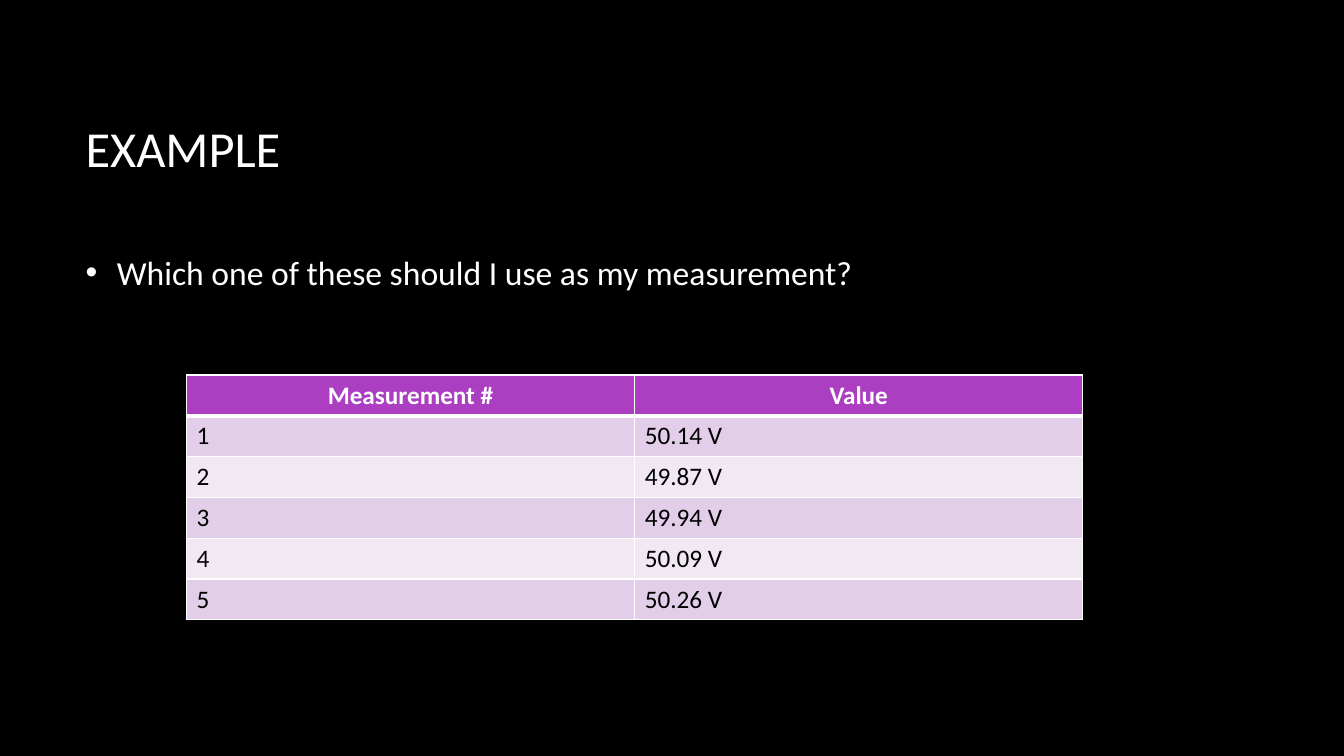
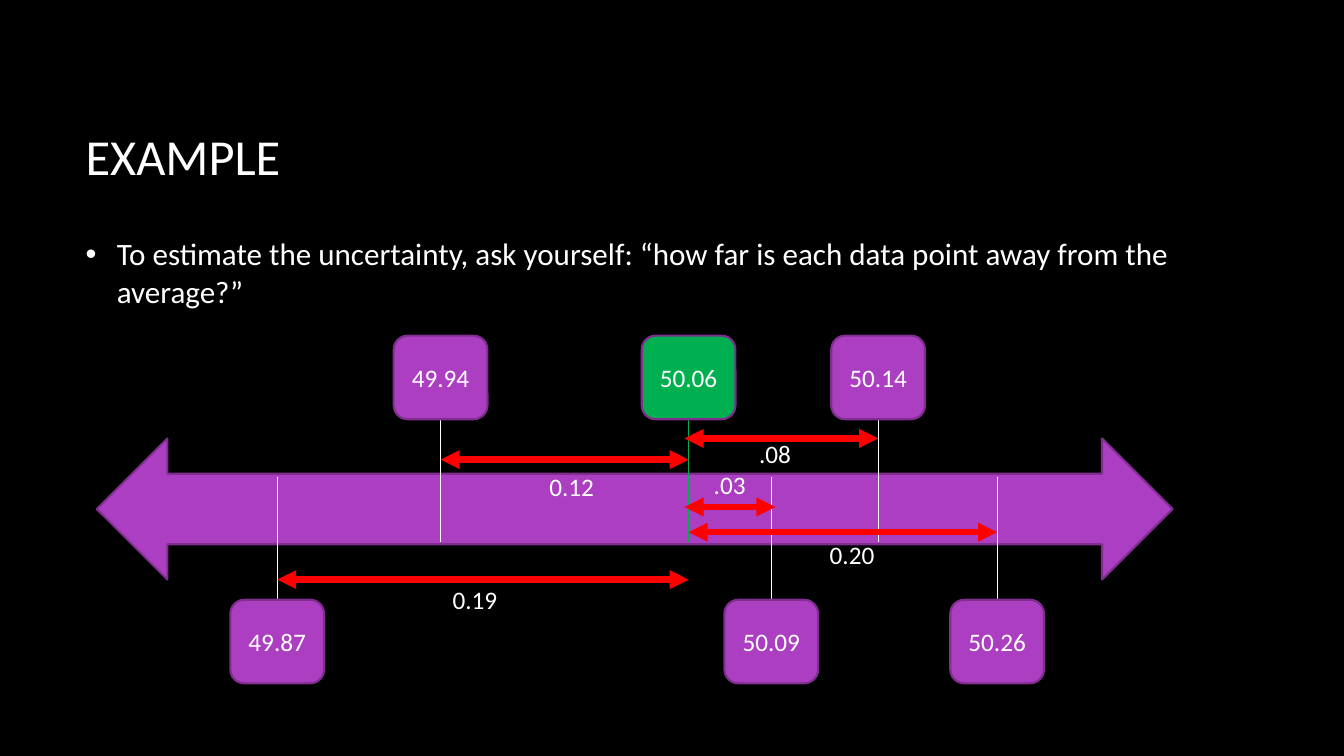
import pptx
import pptx.dml.color
import pptx.enum.shapes
import pptx.enum.text
import pptx.oxml
import pptx.oxml.ns
import pptx.util
from pptx.util import Inches

COLORS = {
    "background": "000000",
    "text": "FFFFFF",
    "cell_text": "000000",
    "purple": "AC3EC1",
    "purple_outline": "7F2E8F",
    "band_dark": "E3CEE9",
    "band_light": "F1E8F4",
    "average": "00B050",
    "span": "FF0000",
}
FONT = "Calibri"
MARGIN, CONTENT_WIDTH = 0.75, 11.08

MEASUREMENTS = ["50.14 V", "49.87 V", "49.94 V", "50.09 V", "50.26 V"]

# value, centre from the left of the number line, above the arrow, fill
MARKERS = [
    ("49.87", 1.79, False, "purple"),
    ("49.94", 3.41, True, "purple"),
    ("50.09", 6.69, False, "purple"),
    ("50.14", 7.75, True, "purple"),
    ("50.26", 8.93, False, "purple"),
    ("50.06", 5.87, True, "average"),
]
# distance, start, end, height, label left, label top, label width
SPANS = [
    ("0.19", 1.79, 5.87, 2.42, 3.43, 2.42, 0.65),
    ("0.20", 5.87, 8.93, 1.95, 7.17, 1.97, 0.65),
    ("0.12", 3.41, 5.87, 1.23, 4.39, 1.30, 0.65),
    (".08", 5.83, 7.75, 1.02, 6.47, 0.97, 0.52),
    (".03", 5.83, 6.73, 1.70, 6.02, 1.28, 0.52),
]


def color(name):
    return pptx.dml.color.RGBColor.from_string(COLORS[name])


def add_xml(parent, tag, index=None, **attributes):
    element = pptx.oxml.parse_xml(f"<a:{tag} {pptx.oxml.ns.nsdecls('a')}/>")
    for name, value in attributes.items():
        element.set(name, str(value))
    parent.insert(len(parent) if index is None else index, element)
    return element


def write(paragraph, text, size, color_name="text", bold=False, align=None):
    paragraph.text = text
    paragraph.alignment = align
    font = paragraph.font
    font.name, font.size, font.bold = FONT, pptx.util.Pt(size), bold
    font.color.rgb = color(color_name)


def add_text(slide, text, left, top, width, height, size, wrap=True):
    box = slide.shapes.add_textbox(
        Inches(left), Inches(top), Inches(width), Inches(height))
    frame = box.text_frame
    frame.word_wrap = wrap
    if wrap:
        frame.vertical_anchor = pptx.enum.text.MSO_ANCHOR.MIDDLE
    else:
        frame.auto_size = pptx.enum.text.MSO_AUTO_SIZE.SHAPE_TO_FIT_TEXT
    paragraph = frame.paragraphs[0]
    write(paragraph, text, size)
    return paragraph


def add_example_slide(presentation, title_top, question, question_size):
    """Add a slide with the shared title and a single bullet."""
    slide = presentation.slides.add_slide(presentation.slide_layouts[6])
    add_text(slide, "EXAMPLE", MARGIN, title_top, CONTENT_WIDTH, 1.59, 36)
    bullet = add_text(
        slide, question, MARGIN, 2.34, CONTENT_WIDTH, 0.72, question_size)
    bullet.space_after = pptx.util.Pt(10)
    properties = bullet._p.get_or_add_pPr()
    indent = Inches(0.31)
    properties.set("marL", str(indent))
    properties.set("indent", str(-indent))
    marker = add_xml(properties, "buChar", char="•")
    marker.addprevious(pptx.oxml.parse_xml(
        f"<a:buFont {pptx.oxml.ns.nsdecls('a')} typeface='Arial'/>"))
    return slide


def add_border(cell, widths):
    """Draw white borders; widths in points are left, right, top, bottom."""
    properties = cell._tc.get_or_add_tcPr()
    for index, (side, width) in enumerate(zip("LRTB", widths)):
        line = add_xml(
            properties, "ln" + side, index, w=pptx.util.Pt(width))
        fill = add_xml(line, "solidFill")
        add_xml(fill, "srgbClr", val=COLORS["text"])


def add_measurement_table(slide, left, top, width, height):
    rows = [("Measurement #", "Value")]
    rows += [(str(number), value)
             for number, value in enumerate(MEASUREMENTS, 1)]
    table = slide.shapes.add_table(
        len(rows), 2, Inches(left), Inches(top),
        Inches(width), Inches(height)).table
    for row_index, row in enumerate(rows):
        header = row_index == 0
        band = "band_dark" if row_index % 2 else "band_light"
        for column_index, text in enumerate(row):
            cell = table.cell(row_index, column_index)
            cell.fill.solid()
            cell.fill.fore_color.rgb = color("purple" if header else band)
            write(cell.text_frame.paragraphs[0], text, 18,
                  "text" if header else "cell_text", header,
                  pptx.enum.text.PP_ALIGN.CENTER if header else None)
            add_border(cell, (1, 1, 3 if row_index == 1 else 1,
                              3 if header else 1))


def add_shape(slide, kind, left, top, width, height, fill):
    shape = slide.shapes.add_shape(
        kind, Inches(left), Inches(top), Inches(width), Inches(height))
    shape.shadow.inherit = False
    shape.fill.solid()
    shape.fill.fore_color.rgb = color(fill)
    shape.line.color.rgb = color("purple_outline")
    shape.line.width = pptx.util.Pt(1.5)
    return shape


def add_line(slide, start, end, color_name, width, arrows=False):
    connector = slide.shapes.add_connector(
        pptx.enum.shapes.MSO_CONNECTOR.STRAIGHT,
        *(Inches(length) for length in start + end))
    connector.line.color.rgb = color(color_name)
    connector.line.width = pptx.util.Pt(width)
    if arrows:
        line = connector.line._get_or_add_ln()
        for tag in ("headEnd", "tailEnd"):
            add_xml(line, tag, type="triangle")
    add_xml(connector._element.spPr, "effectLst")


def add_marker(slide, value, center, top, height, above, fill):
    """Add a value card and the stem that ties it to the arrow."""
    card_width, card_height, stem = 0.93, 0.83, 1.22
    card_top = top if above else top + height - card_height
    stem_top = card_top + card_height if above else card_top - stem
    add_line(slide, (center, stem_top), (center, stem_top + stem),
             "average" if fill == "average" else "text", 0.75)
    card = add_shape(
        slide, pptx.enum.shapes.MSO_SHAPE.ROUNDED_RECTANGLE,
        center - card_width / 2, card_top, card_width, card_height, fill)
    card.text_frame.vertical_anchor = pptx.enum.text.MSO_ANCHOR.MIDDLE
    write(card.text_frame.paragraphs[0], value, 18,
          align=pptx.enum.text.PP_ALIGN.CENTER)


def add_number_line(slide, left, top, width, height):
    """Place the measurements on an arrow with distances to the average."""
    add_shape(slide, pptx.enum.shapes.MSO_SHAPE.LEFT_RIGHT_ARROW,
              left, top + 1.02, width, 1.4, "purple")
    for value, center, above, fill in MARKERS:
        add_marker(slide, value, left + center, top, height, above, fill)
    for text, start, end, level, label_left, label_top, label_width in SPANS:
        add_line(slide, (left + start, top + level),
                 (left + end, top + level), "span", 4.5, arrows=True)
        add_text(slide, text, left + label_left, top + label_top,
                 label_width, 0.4, 18, wrap=False)


def main():
    presentation = pptx.Presentation()
    presentation.slide_width = Inches(13.33)
    presentation.slide_height = Inches(7.5)
    background = presentation.slide_master.background.fill
    background.solid()
    background.fore_color.rgb = color("background")

    slide = add_example_slide(
        presentation, 0.67,
        "Which one of these should I use as my measurement?", 24)
    add_measurement_table(slide, 1.85, 3.72, 8.89, 2.43)

    slide = add_example_slide(
        presentation, 0.75,
        "To estimate the uncertainty, ask yourself: “how far is each data "
        "point away from the average?”", 22.2)
    add_number_line(slide, 0.96, 3.33, 10.67, 3.45)
    presentation.save("out.pptx")


if __name__ == "__main__":
    main()
